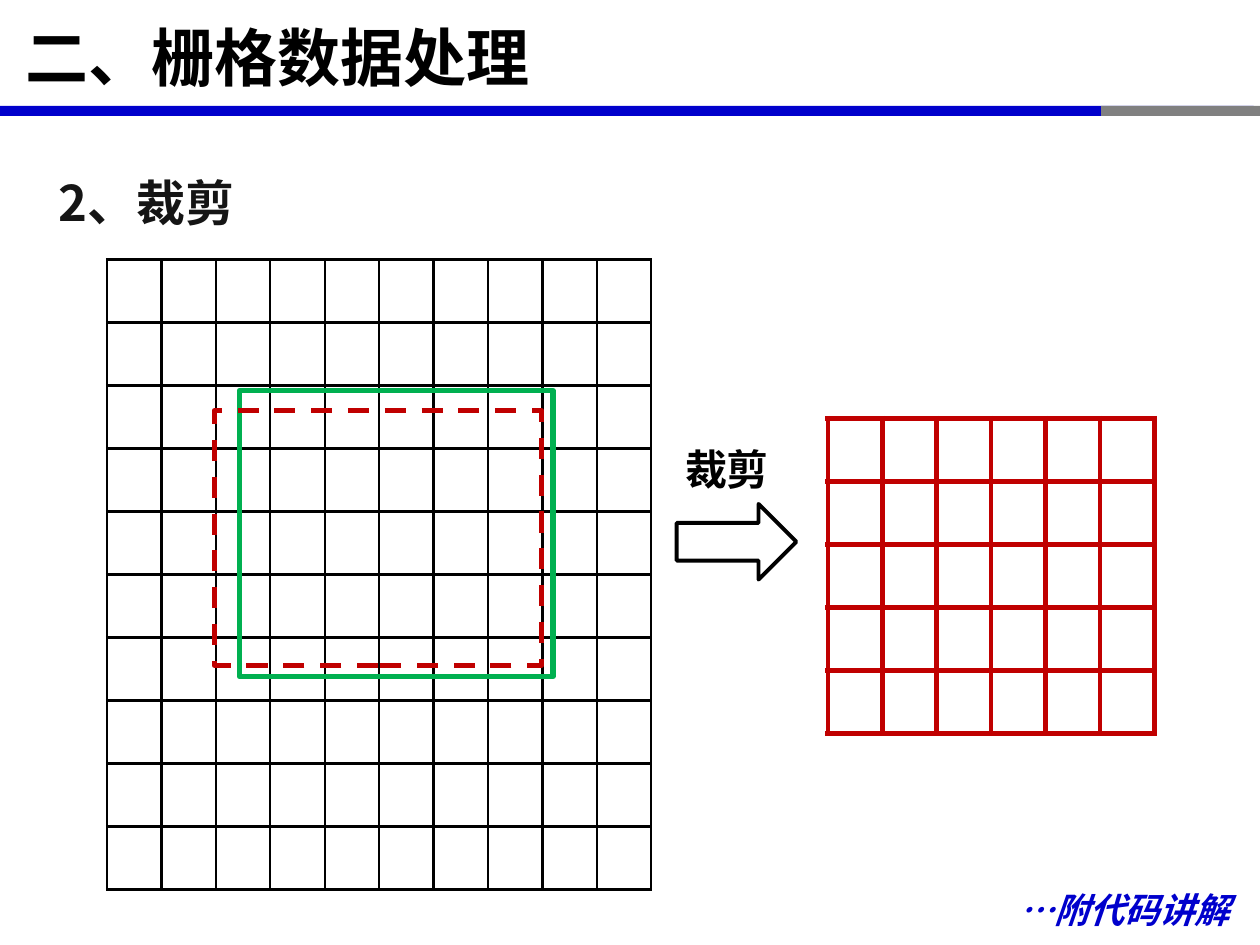
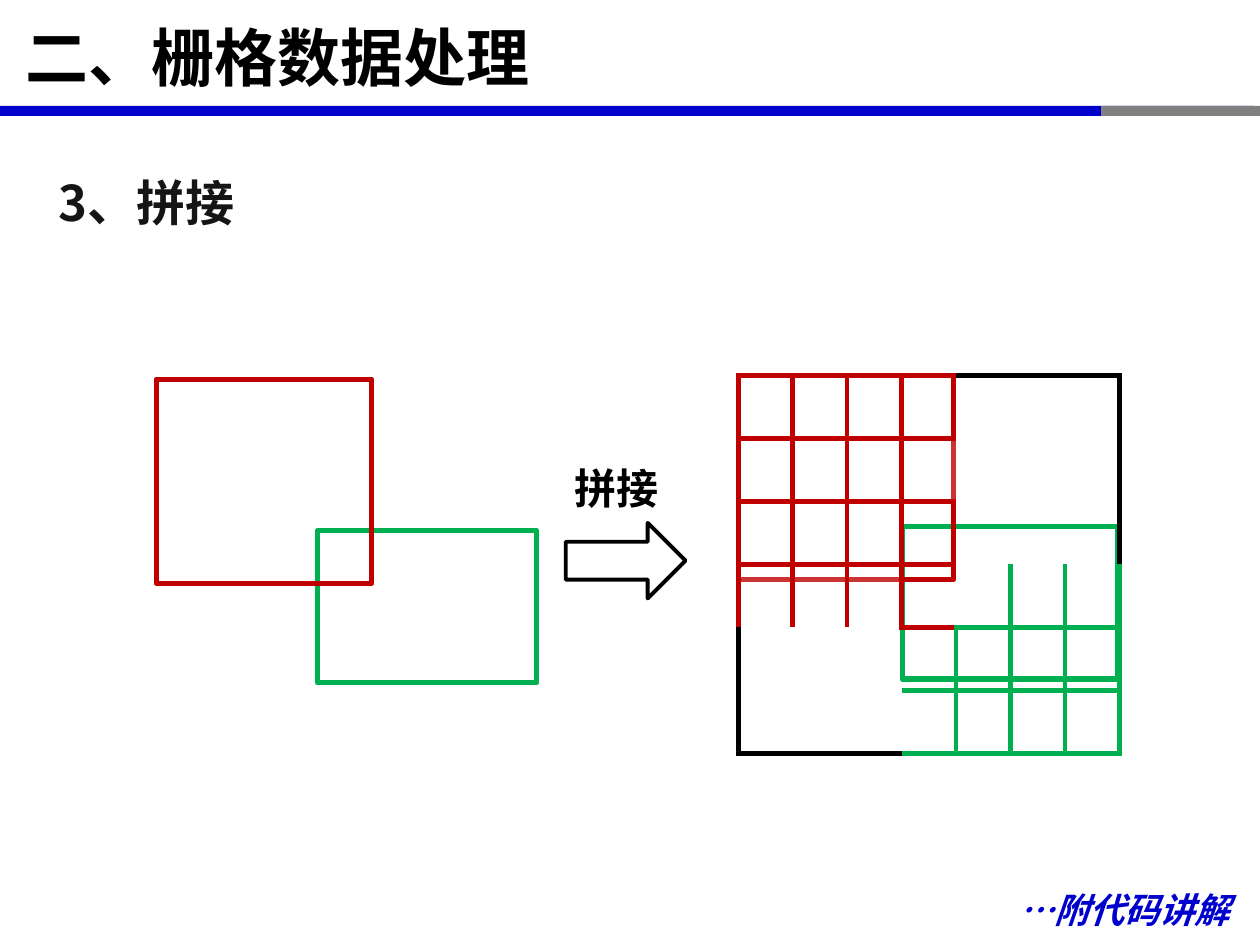
"""Build two slides on clipping and joining raster grids."""
from dataclasses import dataclass
from typing import Any, Optional

import lxml.etree
import pptx
import pptx.dml.color
import pptx.enum.dml
import pptx.enum.shapes
import pptx.enum.text
import pptx.oxml.ns
import pptx.util

Inches = pptx.util.Inches
Pt = pptx.util.Pt
Align = pptx.enum.text.PP_ALIGN
Form = pptx.enum.shapes.MSO_SHAPE
qn = pptx.oxml.ns.qn

FONT = "Noto Sans CJK SC"
HEX = {"K": "000000", "R": "C00000", "G": "00B050", "blue": "0000CC",
       "gray": "808080", "ink": "151515", "white": "FFFFFF"}
TITLE = "二、栅格数据处理"
NOTE = "…附代码讲解"
SIDES = ("a:lnL", "a:lnR", "a:lnT", "a:lnB")
COL, ROW = 0.432, 0.5


@dataclass
class Text:
    words: str
    box: tuple[float, float, float, float]
    size: float
    hue: str
    align: Any
    wrap: bool = True
    slant: bool = False
    space: Optional[float] = None


@dataclass
class Shape:
    box: tuple[float, float, float, float]
    line: Optional[str] = None
    fill: Optional[str] = None
    width: float = 3
    dash: bool = False
    form: Any = Form.RECTANGLE


@dataclass
class Grid:
    """Each cell code names the left, right, top and bottom line hue."""
    left: float
    top: float
    cells: list[list[str]]
    tints: list[int]
    width: float


def place(box: tuple[float, float, float, float]) -> list[int]:
    return [Inches(part) for part in box]


def color(hue: str) -> Any:
    return pptx.dml.color.RGBColor.from_string(HEX[hue])


def style(par: Any, words: str, size: float, hue: str, slant: bool = False) -> None:
    run = par.add_run()
    run.text = words
    for name, value in {"name": FONT, "size": Pt(size), "bold": True, "italic": slant}.items():
        setattr(run.font, name, value)
    run.font.color.rgb = color(hue)
    east = lxml.etree.SubElement(run.font._element, qn("a:ea"))
    east.set("typeface", FONT)


def add_text(slide: Any, text: Text) -> None:
    frame = slide.shapes.add_textbox(*place(text.box)).text_frame
    frame.word_wrap = text.wrap
    frame.auto_size = pptx.enum.text.MSO_AUTO_SIZE.SHAPE_TO_FIT_TEXT
    par = frame.paragraphs[0]
    par.alignment = text.align
    par.line_spacing = text.space
    style(par, text.words, text.size, text.hue, text.slant)


def add_shape(slide: Any, item: Shape) -> None:
    shape = slide.shapes.add_shape(item.form, *place(item.box))
    shape.shadow.inherit = False
    if item.fill:
        shape.fill.solid()
        shape.fill.fore_color.rgb = color(item.fill)
    else:
        shape.fill.background()
    if item.line:
        shape.line.color.rgb = color(item.line)
        shape.line.width = Pt(item.width)
    else:
        shape.line.fill.background()
    if item.dash:
        shape.line.dash_style = pptx.enum.dml.MSO_LINE.DASH


def paint(node: Any, hue: str, alpha: Optional[int] = None) -> None:
    solid = lxml.etree.SubElement(node, qn("a:solidFill"))
    tone = lxml.etree.SubElement(solid, qn("a:srgbClr"), val=HEX[hue])
    if alpha:
        lxml.etree.SubElement(tone, qn("a:alpha"), val=str(alpha * 1000))


def edge(cell: Any, code: str, width: float, tint: bool) -> None:
    props = cell._tc.get_or_add_tcPr()
    for side, hue in zip(SIDES, code):
        line = lxml.etree.SubElement(props, qn(side), w=str(Pt(width)))
        if hue == "-":
            lxml.etree.SubElement(line, qn("a:noFill"))
        else:
            paint(line, hue)
    if tint:
        paint(props, "white", 20)
    else:
        lxml.etree.SubElement(props, qn("a:noFill"))


def add_grid(slide: Any, grid: Grid) -> None:
    rows, cols = len(grid.cells), len(grid.cells[0])
    box = (grid.left, grid.top, cols * COL, rows * ROW)
    table = slide.shapes.add_table(rows, cols, *place(box)).table
    table.first_row = table.horz_banding = False
    for col in table.columns:
        col.width = Inches(COL)
    for y, codes in enumerate(grid.cells):
        table.rows[y].height = Inches(ROW)
        for x, code in enumerate(codes):
            edge(table.cell(y, x), code, grid.width, x < grid.tints[y])


def plain(left: float, top: float, rows: int, cols: int, hue: str, width: float) -> Grid:
    tints = [cols * (y % 2) for y in range(rows)]
    return Grid(left, top, [[hue * 4] * cols] * rows, tints, width)


def arrow(left: float, top: float, words: str) -> list[Any]:
    return [Shape((left, top, 0.95, 0.6), "K", width=2.25, form=Form.RIGHT_ARROW),
            Text(words, (left - 0.04, top - 0.53, 0.88, 0.5), 24, "K", Align.CENTER, wrap=False)]


def add_slide(deck: Any, head: str, items: list[Any]) -> None:
    slide = deck.slides.add_slide(deck.slide_layouts[5])
    title = slide.shapes.title
    title.left, title.top, title.width, title.height = place((0, 0.01, 9.86, 0.87))
    frame = title.text_frame
    frame.vertical_anchor = pptx.enum.text.MSO_ANCHOR.MIDDLE
    frame.auto_size = pptx.enum.text.MSO_AUTO_SIZE.NONE
    par = frame.paragraphs[0]
    par.alignment = Align.LEFT
    par._p.get_or_add_pPr().set("indent", str(Inches(0.1)))
    style(par, TITLE, 36, "K")
    shared = [Shape((0, 0.84, 9.95, 0.08), fill="blue"),
              Shape((8.74, 0.84, 1.26, 0.08), fill="gray"),
              Text(head, (0.37, 1.09, 9.3, 0.72), 28, "ink", Align.JUSTIFY, space=1.5),
              Text(NOTE, (7.48, 7, 2.38, 0.44), 20, "blue", Align.RIGHT, slant=True)]
    draw = {Text: add_text, Shape: add_shape, Grid: add_grid}
    for item in shared + items:
        draw[type(item)](slide, item)


def main() -> None:
    deck = pptx.Presentation()
    deck.slide_width, deck.slide_height = Inches(10), Inches(7.5)
    add_slide(deck, "2、裁剪", [
        plain(0.85, 2.06, 10, 10, "K", 1.5),
        Shape((1.9, 3.1, 2.49, 2.27), "G"),
        plain(6.57, 3.32, 5, 6, "R", 3),
        Shape((1.7, 3.26, 2.6, 2.02), "R", dash=True),
        *arrow(5.37, 4, "裁剪")])
    codes = ["RRRR RRRR RRRR R-RR --K- --K- -KK-",
             "RRRR RRRR RRRR R-RR ---- ---- -K--",
             "RRRR RRRR RRRR R-RR ---- ---- -K--",
             "RRR- RRR- RRR- R-RR -G-G GG-G GG-G",
             "K--- ---- ---- -GRG GGGG GGGG GGGG",
             "K--K ---K ---K -GGG GGGG GGGG GGGG"]
    joined = Grid(5.86, 2.98, [row.split() for row in codes], [0, 7, 0, 3, 0, 3], 3)
    add_slide(deck, "3、拼接", [
        Shape((2.52, 4.21, 1.74, 1.21), "G"),
        Shape((1.24, 3.01, 1.71, 1.62), "R"),
        *arrow(4.49, 4.15, "拼接"),
        Shape((7.16, 4.18, 1.71, 1.21), "G"),
        Shape((5.86, 2.98, 1.71, 1.62), "R"),
        joined])
    deck.save("out.pptx")


if __name__ == "__main__":
    main()
